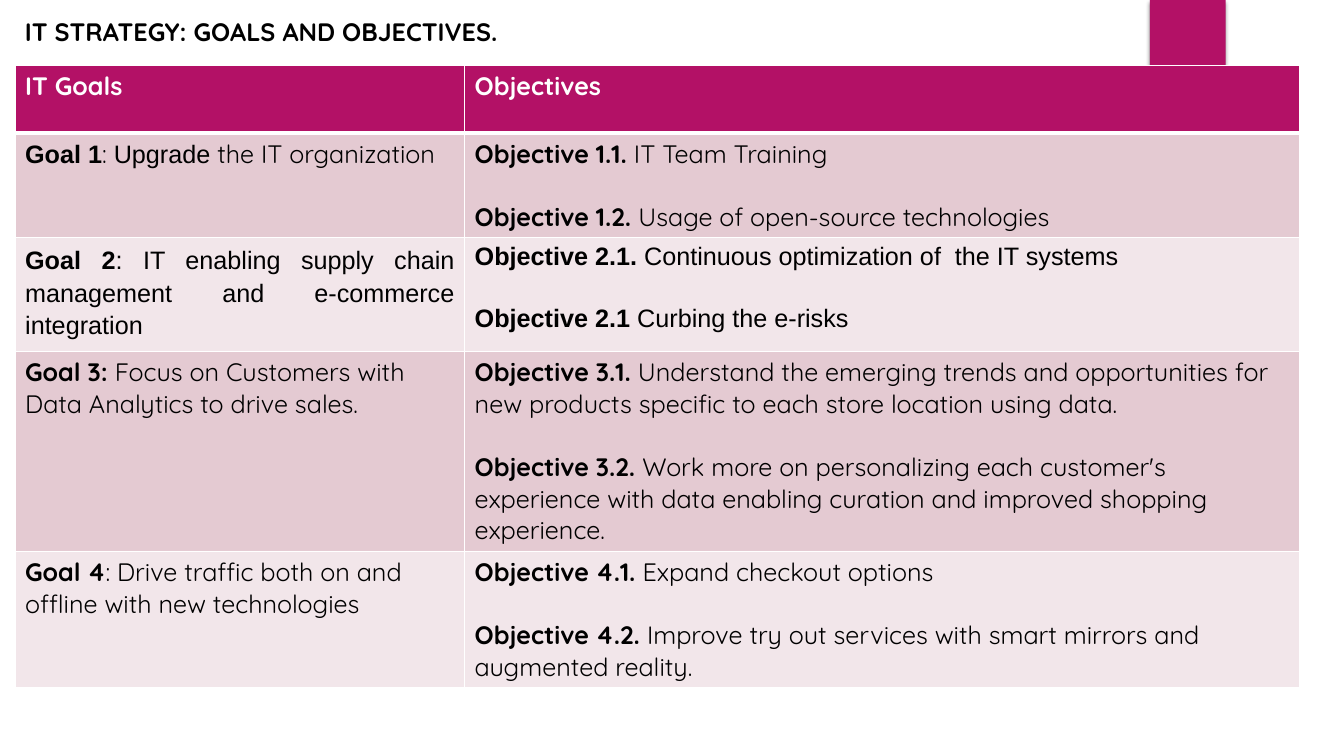
from lxml import etree
from pptx import Presentation
from pptx.dml.color import RGBColor
from pptx.enum import shapes, text
from pptx.oxml import parse_xml
from pptx.oxml.ns import nsdecls, qn
from pptx.util import Cm, Pt

SANS, ARIAL = "Quicksand", "Arial"
MAGENTA, WHITE, BLACK = "B31166", "FFFFFF", "000000"
BANDS = ("E4CAD2", "F2E6EA")
COLUMNS = (11.33, 21.03)
HEIGHTS = (1.7, 2.57, 2.87, 5.03, 3.33)

GOALS = [
    [("Goal 1", True, ARIAL), (": ", False, SANS), ("Upgrade", False, ARIAL),
     (" the IT organization", False, SANS)],
    [("Goal 2", True),
     (": IT enabling supply chain management and e-commerce integration", False)],
    [("Goal 3: ", True),
     ("Focus on Customers with Data Analytics to drive sales.", False)],
    [("Goal 4", True),
     (": Drive traffic both on and offline with new technologies", False)],
]
OBJECTIVES = [
    [[("Objective 1.1. ", True), ("IT Team Training", False)],
     [("Objective 1.2. ", True), ("Usage of open-source technologies", False)]],
    [[("Objective 2.1.", True),
      (" Continuous optimization of  the IT systems", False)],
     [("Objective 2.1", True), (" Curbing the e-risks", False)]],
    [[("Objective 3.1. ", True),
      ("Understand the emerging trends and opportunities for new products "
       "specific to each store location using data.", False)],
     [("Objective 3.2. ", True),
      ("Work more on personalizing each customer's experience with data "
       "enabling curation and improved shopping experience.", False)]],
    [[("Objective 4.1. ", True), ("Expand checkout options", False)],
     [("Objective 4.2. ", True),
      ("Improve try out services with smart mirrors and augmented reality.", False)]],
]


def rgb(value):
    """Turn a hex string into a colour."""
    return RGBColor.from_string(value)


def write(p, runs, font=SANS, color=BLACK):
    """Fill a paragraph with (text, bold[, font]) runs."""
    p.font.size = Pt(18)
    p.font.name = font
    p.font.color.rgb = rgb(color)
    for content, bold, *own_font in runs:
        r = p.add_run()
        r.text = content
        r.font.bold = bold
        r.font.color.rgb = rgb(color)
        if own_font:
            r.font.name = own_font[0]


def justify(p):
    """Justify a paragraph with loose lines."""
    p.alignment = text.PP_ALIGN.JUSTIFY
    p.line_spacing = 1.15
    p.space_after = Pt(8)


def style_cell(cell, fill, top=1, bottom=1):
    """Give a cell its fill and white borders."""
    cell.fill.solid()
    cell.fill.fore_color.rgb = rgb(fill)
    tc_pr = cell._tc.get_or_add_tcPr()
    widths = {"lnL": 1, "lnR": 1, "lnT": top, "lnB": bottom}
    for i, (tag, width) in enumerate(widths.items()):
        ln = etree.Element(qn(f"a:{tag}"), w=str(Pt(width)))
        solid = etree.SubElement(ln, qn("a:solidFill"))
        etree.SubElement(solid, qn("a:srgbClr"), val=WHITE)
        tc_pr.insert(i, ln)


def add_tab(slide):
    """Add the shadowed block at the top edge."""
    sp = slide.shapes.add_shape(shapes.MSO_SHAPE.RECTANGLE,
                                Cm(28.98), Cm(0), Cm(1.91), Cm(3.18))
    sp.shadow.inherit = False
    sp.fill.solid()
    sp.fill.fore_color.rgb = rgb(MAGENTA)
    sp.line.fill.background()
    effects = sp._element.spPr.find(qn("a:effectLst"))
    effects.append(parse_xml(
        f'<a:outerShdw {nsdecls("a")} blurRad="{Pt(3)}" dist="{Pt(2)}" '
        f'dir="5400000" rotWithShape="0"><a:srgbClr val="{BLACK}">'
        '<a:alpha val="45000"/></a:srgbClr></a:outerShdw>'))


def add_title(slide, content):
    """Add the heading."""
    tf = slide.shapes.add_textbox(Cm(0.38), Cm(0.28), Cm(19.41), Cm(1.02)).text_frame
    tf.word_wrap = True
    write(tf.paragraphs[0], [(content, True)])


def add_goal_table(slide):
    """Add the table of goals and objectives."""
    table = slide.shapes.add_table(len(HEIGHTS), len(COLUMNS), Cm(0.38), Cm(1.65),
                                   Cm(sum(COLUMNS)), Cm(sum(HEIGHTS))).table
    for column, width in zip(table.columns, COLUMNS):
        column.width = Cm(width)
    for row, height in zip(table.rows, HEIGHTS):
        row.height = Cm(height)
    for i, heading in enumerate(("IT Goals", "Objectives")):
        cell = table.cell(0, i)
        style_cell(cell, MAGENTA, bottom=3)
        write(cell.text_frame.paragraphs[0], [(heading, True)], color=WHITE)
    for n, (goal, objectives) in enumerate(zip(GOALS, OBJECTIVES), 1):
        font = ARIAL if n == 2 else SANS
        left, right = table.cell(n, 0), table.cell(n, 1)
        for cell in (left, right):
            style_cell(cell, BANDS[(n - 1) % 2], top=3 if n == 1 else 1)
        goal_p = left.text_frame.paragraphs[0]
        write(goal_p, goal, font)
        first_p = right.text_frame.paragraphs[0]
        second_p = right.text_frame.add_paragraph()
        write(first_p, objectives[0], font)
        write(second_p, objectives[1], font)
        second_p.space_before = Pt(20.7 if font == ARIAL else 22.5)
        if n == 2:
            justify(goal_p)
            justify(second_p)


def main():
    """Build the slide."""
    prs = Presentation()
    prs.slide_width, prs.slide_height = Cm(33.87), Cm(19.05)
    slide = prs.slides.add_slide(prs.slide_layouts[6])
    add_tab(slide)
    add_goal_table(slide)
    add_title(slide, "IT STRATEGY: GOALS AND OBJECTIVES.")
    prs.save("out.pptx")


if __name__ == "__main__":
    main()
